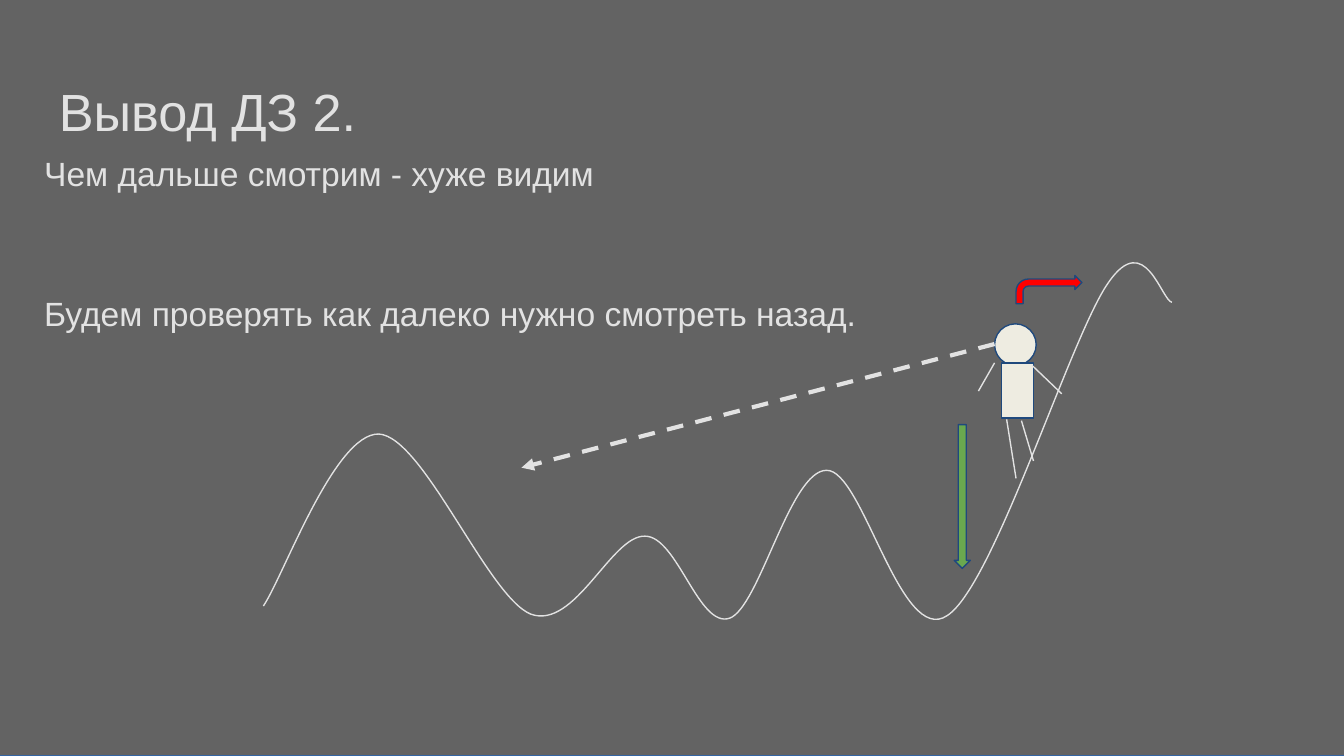
"""Build the homework conclusion slide with a figure looking back over the hills."""
import pptx
import pptx.dml.color
import pptx.enum.dml
import pptx.enum.shapes
import pptx.oxml
import pptx.oxml.ns
import pptx.util
from pptx.util import Inches

MSO = pptx.enum.shapes.MSO_SHAPE
LIGHT, CREAM, NAVY = "E2E2E2", "EEECE1", "1F497D"


def color(value):
    return pptx.dml.color.RGBColor.from_string(value)


def set_line(s, value, width=0.75):
    s.line.color.rgb = color(value)
    s.line.width = pptx.util.Pt(width)


prs = pptx.Presentation()
prs.slide_width = Inches(10)
prs.slide_height = prs.slide_width * 9 // 16
shapes = prs.slides.add_slide(prs.slide_layouts[6]).shapes

background = (MSO.RECTANGLE, -0.01, -0.01, 10.02, 5.63, "636363", "3465A4", [])
figure = [
    (MSO.OVAL, 7.4, 2.41, 0.31, 0.31, CREAM, NAVY, []),
    (MSO.RECTANGLE, 7.45, 2.7, 0.24, 0.41, CREAM, NAVY, []),
    (MSO.BENT_ARROW, 7.56, 2.05, 0.49, 0.21, "FF0000", NAVY, [0.25, 0.25, 0.25, 0.44]),
    (MSO.DOWN_ARROW, 7.1, 3.16, 0.12, 1.07, "6AA84F", NAVY, [0.5, 0.5]),
]
for kind, x, y, w, h, fill, line, adjustments in [background] + figure:
    s = shapes.add_shape(kind, Inches(x), Inches(y), Inches(w), Inches(h))
    s.shadow.inherit = False
    s.fill.solid()
    s.fill.fore_color.rgb = color(fill)
    set_line(s, line)
    for i, value in enumerate(adjustments):
        s.adjustments[i] = value

texts = [
    (0.34, 0.49, 0.63, 28, ["Вывод ДЗ 2."]),
    (0.23, 1.04, 3.74, 18, ["Чем дальше смотрим - хуже видим",
                            "Будем проверять как далеко нужно смотреть назад."]),
]
for x, y, h, size, lines in texts:
    tf = shapes.add_textbox(Inches(x), Inches(y), Inches(9.32), Inches(h)).text_frame
    tf.word_wrap = True
    tf.margin_left = tf.margin_right = tf.margin_top = tf.margin_bottom = Inches(0.1)
    tf.text = "\n".join(lines)
    for i, p in enumerate(tf.paragraphs):
        p.space_before = pptx.util.Pt(53.5 if i else 0)
        font = p.runs[0].font
        font.name, font.size = "Arial", pptx.util.Pt(size)
        font.color.rgb = color(LIGHT)

hills = [
    (1.96, 4.51), (2.11, 4.29), (2.49, 3.22), (2.82, 3.23),
    (3.15, 3.25), (3.63, 4.44), (3.95, 4.57), (4.28, 4.69), (4.55, 3.98), (4.8, 3.99),
    (5.04, 3.99), (5.2, 4.68), (5.43, 4.6), (5.65, 4.52), (5.88, 3.5), (6.15, 3.5),
    (6.42, 3.49), (6.7, 4.82), (7.05, 4.58), (7.4, 4.35), (7.97, 2.49), (8.25, 2.1),
    (8.52, 1.71), (8.64, 2.23), (8.72, 2.25),
]
points = [(Inches(x), Inches(y)) for x, y in hills]
builder = shapes.build_freeform(*points[0])
builder.add_line_segments(points[1:], close=False)
s = builder.convert_to_shape()
s.shadow.inherit = False
s.fill.background()
set_line(s, LIGHT)
outline = s._element.xpath(".//a:path")[0]
segments = outline.findall(pptx.oxml.ns.qn("a:lnTo"))
for i in range(0, len(segments), 3):
    curve = pptx.oxml.parse_xml(f"<a:cubicBezTo {pptx.oxml.ns.nsdecls('a')}/>")
    outline.append(curve)
    for segment in segments[i:i + 3]:
        curve.append(segment[0])
        outline.remove(segment)

limbs_and_gaze = [
    (7.4, 2.7, 7.28, 2.91, 0.75),
    (7.68, 2.72, 7.9, 2.93, 0.75),
    (7.49, 3.12, 7.56, 3.56, 0.75),
    (7.6, 3.13, 7.69, 3.43, 0.75),
    (7.4, 2.56, 3.88, 3.48, 2.25),
]
for x1, y1, x2, y2, width in limbs_and_gaze:
    s = shapes.add_connector(pptx.enum.shapes.MSO_CONNECTOR.STRAIGHT,
                             Inches(x1), Inches(y1), Inches(x2), Inches(y2))
    set_line(s, LIGHT, width)
    s._element.spPr.append(pptx.oxml.parse_xml(f"<a:effectLst {pptx.oxml.ns.nsdecls('a')}/>"))

s.line.dash_style = pptx.enum.dml.MSO_LINE.DASH
s.line._get_or_add_ln().append(
    pptx.oxml.parse_xml(f'<a:tailEnd {pptx.oxml.ns.nsdecls("a")} type="triangle"/>'))

prs.save("out.pptx")
